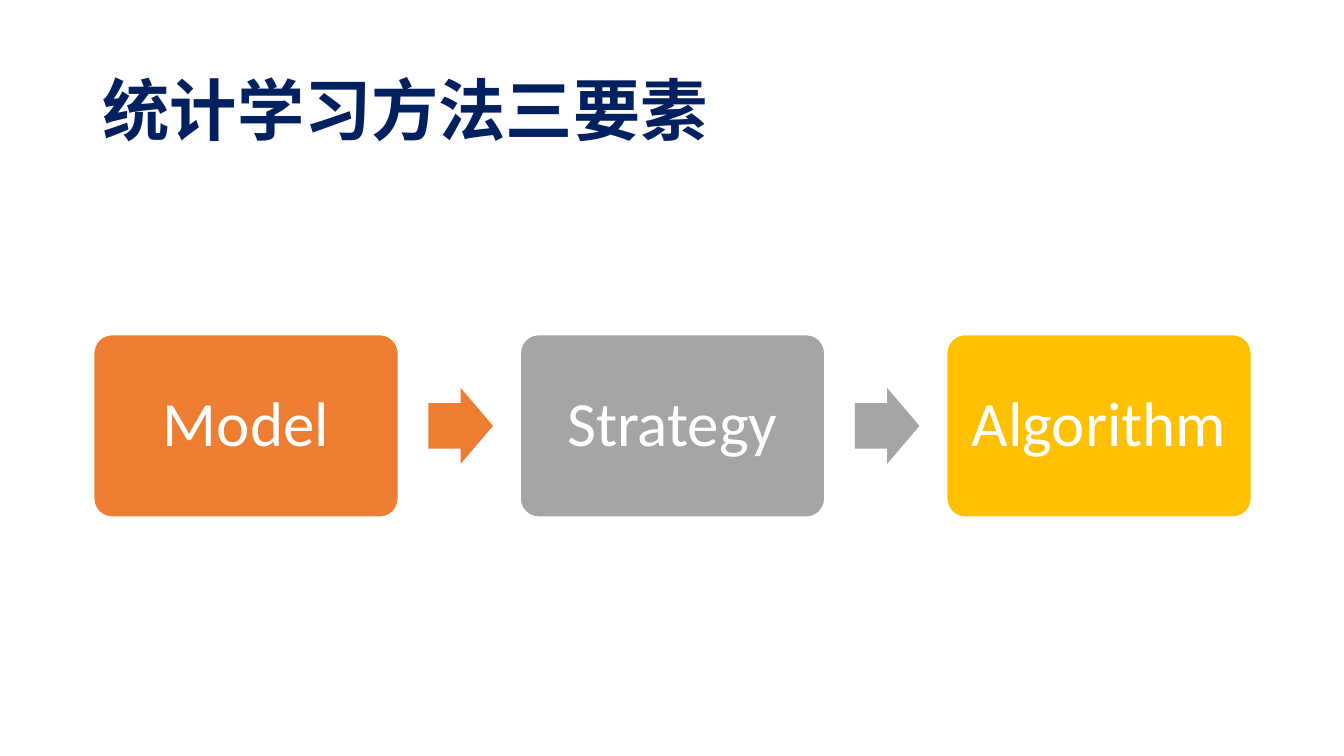
from pptx import Presentation
from pptx import util as u
from pptx.dml.color import RGBColor
from pptx.enum import shapes, text

COLORS = {"navy": "002060", "orange": "ED7D31", "gray": "A5A5A5",
          "gold": "FFC000", "white": "FFFFFF"}
STEPS = [("Model", "orange"), ("Strategy", "gray"), ("Algorithm", "gold")]
LEFT, PITCH, MID = 0.93, 4.23, 4.225
CARD_W, CARD_H = 3.02, 1.81
ARROW_X, ARROW_W, ARROW_H = 3.32, 0.64, 0.75
KIND = shapes.MSO_SHAPE


def rgb(name):
    return RGBColor.from_string(COLORS[name])


def write(shape, words, size, color, align, inset, bold=False):
    frame = shape.text_frame
    frame.word_wrap = True
    frame.vertical_anchor = text.MSO_ANCHOR.MIDDLE
    frame.margin_left = frame.margin_right = u.Inches(inset)
    para = frame.paragraphs[0]
    para.text = words
    para.alignment = align
    para.line_spacing = 0.9
    font = para.font
    font.name, font.size, font.bold = "Calibri", u.Pt(size), bold
    font.color.rgb = rgb(color)


def block(slide, kind, left, width, height, color, ratios):
    shape = slide.shapes.add_shape(
        kind, u.Inches(left), u.Inches(MID - height / 2),
        u.Inches(width), u.Inches(height))
    shape.shadow.inherit = False
    shape.fill.solid()
    shape.fill.fore_color.rgb = rgb(color)
    shape.line.fill.background()
    for i, ratio in enumerate(ratios):
        shape.adjustments[i] = ratio
    return shape


def card(slide, col, words, color):
    shape = block(slide, KIND.ROUNDED_RECTANGLE, LEFT + col * PITCH,
                  CARD_W, CARD_H, color, [0.1])
    shape.line.color.rgb = rgb("white")
    shape.line.width = u.Pt(1)
    write(shape, words, 45, "white", text.PP_ALIGN.CENTER, 0.19)


def arrow(slide, col, color):
    block(slide, KIND.RIGHT_ARROW, LEFT + col * PITCH + ARROW_X,
          ARROW_W, ARROW_H, color, [0.6, 0.5])


def title(slide, words):
    box = slide.shapes.add_textbox(
        u.Inches(0.92), u.Inches(0.4), u.Inches(11.5), u.Inches(1.45))
    write(box, words, 48, "navy", text.PP_ALIGN.LEFT, 0.1, bold=True)


def main():
    deck = Presentation()
    deck.slide_width, deck.slide_height = u.Inches(13.33), u.Inches(7.5)
    slide = deck.slides.add_slide(deck.slide_layouts[6])
    title(slide, "统计学习方法三要素")
    for col, (words, color) in enumerate(STEPS):
        card(slide, col, words, color)
        if col < len(STEPS) - 1:
            arrow(slide, col, color)
    deck.save("out.pptx")


if __name__ == "__main__":
    main()
